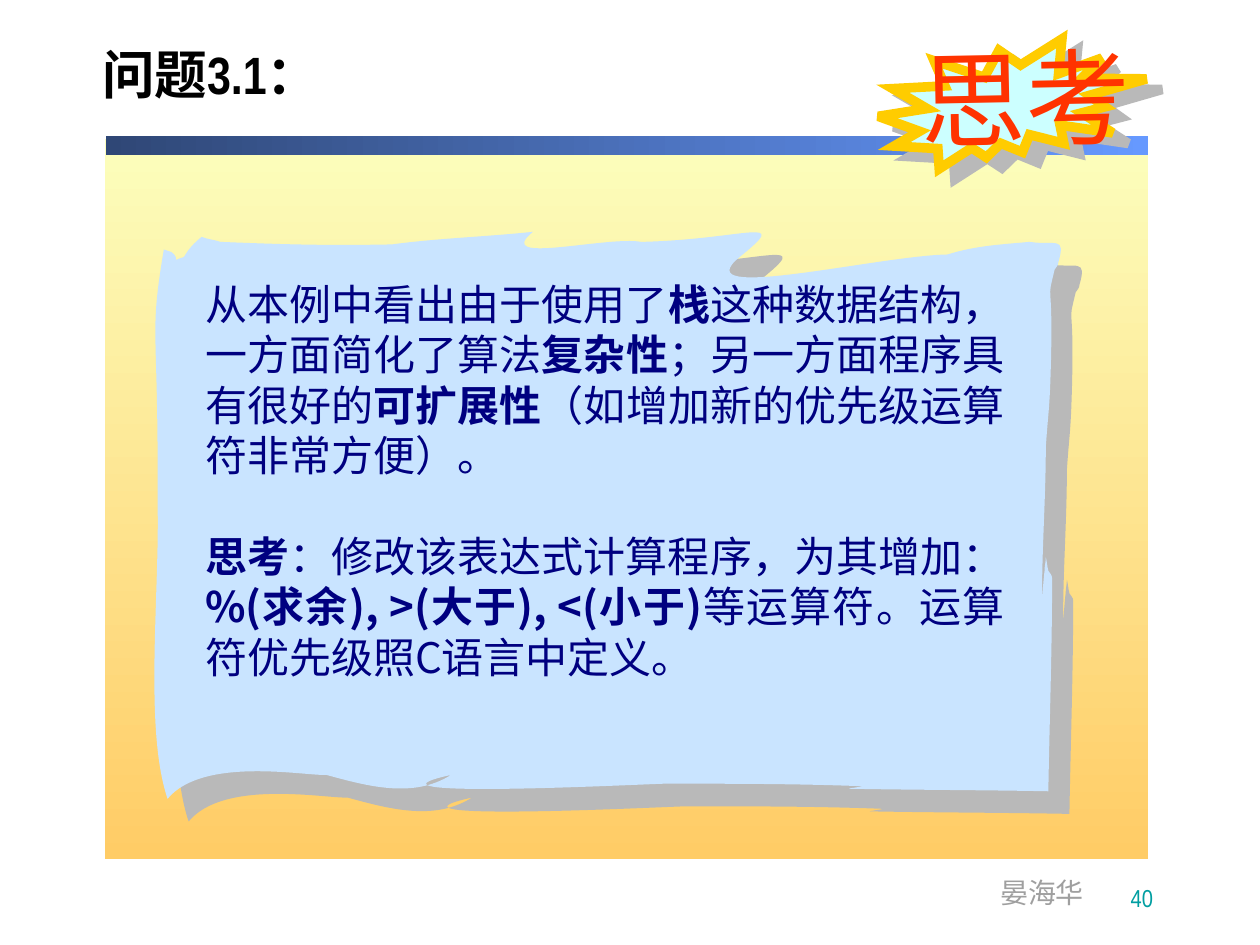
from lxml import etree
from pptx import Presentation
from pptx.dml.color import RGBColor
from pptx.enum.shapes import MSO_SHAPE as Shape
from pptx.enum.text import MSO_ANCHOR as Anchor, PP_ALIGN as Align
from pptx.oxml import parse_xml
from pptx.oxml.ns import nsdecls, qn
from pptx.util import Inches, Pt

COLORS = {
    "panel_top": "FCFEBC", "panel_bottom": "FFCC66",
    "bar_left": "2F4776", "bar_right": "6699FF",
    "paper": "C9E4FF", "shadow": "B9B9B9", "body": "000080",
    "seal": "CCFFFF", "seal_line": "FFCC00", "think": "FF3300",
    "title": "000000", "author": "9F9F9F", "number": "009EA1",
}
NARROW = "Arial Narrow"
SANS_SC = "Noto Sans CJK SC"
SANS_JP = "Noto Sans CJK JP"

PAPER_START = (1.75, 1.92)
PAPER_CURVES = [
    (2.25, 1.94, 2.59, 1.95, 3.11, 1.94), (3.48, 1.89, 3.85, 1.88, 4.23, 1.84),
    (3.9, 2.11, 4.82, 1.87, 5.09, 1.92), (5.92, 1.9, 6.29, 1.7, 5.87, 2.04),
    (5.42, 2.41, 6.97, 2.03, 7.52, 2.02), (7.74, 1.95, 7.95, 1.94, 8.17, 1.92),
    (8.38, 1.95, 8.46, 1.87, 8.4, 2.08), (8.4, 2.11, 8.38, 2.12, 8.37, 2.14),
    (8.3, 2.43, 8.36, 2.16, 8.34, 2.9), (8.33, 3.27, 8.32, 3.25, 8.3, 3.55),
    (8.3, 3.94, 8.27, 4.34, 8.27, 4.73), (8.27, 4.8, 8.28, 4.6, 8.29, 4.53),
    (8.29, 4.49, 8.3, 4.46, 8.3, 4.42), (8.31, 4.46, 8.31, 4.49, 8.32, 4.53),
    (8.33, 4.55, 8.35, 4.56, 8.35, 4.59), (8.35, 5.15, 8.33, 5.71, 8.32, 6.28),
    (7.79, 6.27, 7.27, 6.27, 6.74, 6.26), (6.71, 6.26, 6.87, 6.24, 6.84, 6.24),
    (6.32, 6.22, 5.8, 6.22, 5.28, 6.22), (5.17, 6.22, 2.67, 6.35, 3.58, 6.15),
    (3.28, 6.34, 2.92, 6.24, 2.59, 6.15), (2.43, 6.16, 1.61, 6, 1.33, 6.34),
    (1.14, 5.78, 1.27, 4.69, 1.25, 3.98), (1.26, 2.54, 1.18, 2.7, 1.3, 1.98),
    (1.32, 1.99, 1.34, 1.99, 1.36, 2), (1.45, 2.07, 1.33, 2.08, 1.46, 2.04),
    (1.5, 1.97, 1.54, 1.93, 1.6, 1.88), (1.65, 1.9, 1.69, 1.9, 1.75, 1.92),
    (1.75, 1.92, 1.88, 1.97, 1.75, 1.92),
]
BODY = [
    [("从本例中看出由于使用了", False), ("栈", True),
     ("这种数据结构，一方面简化了算法", False), ("复杂性", True),
     ("；另一方面程序具有很好的", False), ("可扩展性", True),
     ("（如增加新的优先级运算符非常方便）。", False)],
    [("思考", True), ("：修改该表达式计算程序，为其增加：", False),
     ("%(求余), >(大于), <(小于)", True),
     ("等运算符。运算符优先级照C语言中定义。", False)],
]


def color(name):
    return RGBColor.from_string(COLORS[name])


class SlideBuilder:
    def __init__(self, slide):
        self.slide = slide
        self.shapes = slide.shapes

    def format_run(self, run, size, fill, font, bold=False):
        run.font.size = Pt(size)
        run.font.name = font
        run.font.bold = bold
        run.font.color.rgb = color(fill)
        east_asian = etree.Element(qn("a:ea"))
        east_asian.set("typeface", SANS_SC if font == NARROW else font)
        run.font._element.find(qn("a:latin")).addnext(east_asian)

    def title(self, text, box):
        title = self.shapes.title
        title.left, title.top, title.width, title.height = map(Inches, box)
        frame = title.text_frame
        frame.text = text
        frame.vertical_anchor = Anchor.MIDDLE
        paragraph = frame.paragraphs[0]
        paragraph.alignment = Align.LEFT
        paragraph.line_spacing = 0.8
        self.format_run(paragraph.runs[0], 30, "title", NARROW, True)

    def gradient(self, box, stops, angle):
        shape = self.shapes.add_shape(Shape.RECTANGLE, *map(Inches, box))
        shape.shadow.inherit = False
        shape.line.fill.background()
        shape.fill.gradient()
        shape.fill.gradient_angle = angle
        for stop, name in zip(shape.fill.gradient_stops, stops):
            stop.color.rgb = color(name)

    def cast_shadow(self, shape, distance, angle):
        shape.shadow.inherit = False
        effects = shape._element.spPr.find(qn("a:effectLst"))
        effects.append(parse_xml(
            f'<a:outerShdw {nsdecls("a")} blurRad="0" dist="{Pt(distance)}" '
            f'dir="{angle * 60000}" algn="ctr" rotWithShape="0">'
            f'<a:srgbClr val="{COLORS["shadow"]}"/></a:outerShdw>'))

    def curved_freeform(self, start, curves):
        points = [(Inches(curve[i]), Inches(curve[i + 1]))
                  for curve in curves for i in (0, 2, 4)]
        builder = self.shapes.build_freeform(*map(Inches, start))
        builder.add_line_segments(points, close=True)
        shape = builder.convert_to_shape()
        lines = list(shape._element.iter(qn("a:lnTo")))
        for i in range(0, len(lines), 3):
            bezier = etree.Element(qn("a:cubicBezTo"))
            lines[i].addprevious(bezier)
            for line in lines[i:i + 3]:
                bezier.append(line[0])
                line.getparent().remove(line)
        return shape

    def paper(self):
        shape = self.curved_freeform(PAPER_START, PAPER_CURVES)
        shape.fill.solid()
        shape.fill.fore_color.rgb = color("paper")
        shape.line.fill.background()
        self.cast_shadow(shape, 17.7, 47)

    def seal(self, box):
        shape = self.shapes.add_shape(Shape.EXPLOSION2, *map(Inches, box))
        shape.fill.solid()
        shape.fill.fore_color.rgb = color("seal")
        shape.line.color.rgb = color("seal_line")
        shape.line.width = Pt(5.5)
        miter = etree.SubElement(shape._element.spPr.find(qn("a:ln")), qn("a:miter"))
        miter.set("lim", "800000")
        self.cast_shadow(shape, 10.8, 34)

    def text(self, box, paragraphs, size, fill, font, align=Align.LEFT,
             anchor=Anchor.TOP, wrap=True, gap=0, rotation=0):
        shape = self.shapes.add_textbox(*map(Inches, box))
        shape.rotation = rotation
        frame = shape.text_frame
        frame.word_wrap = wrap
        frame.vertical_anchor = anchor
        for index, pieces in enumerate(paragraphs):
            paragraph = frame.add_paragraph() if index else frame.paragraphs[0]
            paragraph.alignment = align
            if index:
                paragraph.space_before = Pt(gap)
            for text, bold in pieces:
                run = paragraph.add_run()
                run.text = text
                self.format_run(run, size, fill, font, bold)


def main():
    presentation = Presentation()
    presentation.slide_width = Inches(10)
    presentation.slide_height = Inches(7.5)
    builder = SlideBuilder(presentation.slides.add_slide(presentation.slide_layouts[5]))
    builder.gradient((0.83, 1.1, 8.28, 5.72), ("panel_top", "panel_bottom"), 270)
    builder.gradient((0.84, 1.08, 8.27, 0.15), ("bar_left", "bar_right"), 0)
    builder.text((7.84, 6.9, 0.87, 0.37), [[("晏海华", False)]], 16, "author", NARROW,
                 wrap=False)
    builder.title("问题3.1：", (0.71, 0.17, 8.96, 0.92))
    builder.text((7.36, 6.81, 1.89, 0.48), [[("40", False)]], 14, "number", NARROW,
                 align=Align.RIGHT, anchor=Anchor.BOTTOM)
    builder.paper()
    builder.text((1.53, 2.16, 6.54, 3.74), BODY, 24, "body", SANS_SC,
                 align=Align.JUSTIFY, gap=28.8)
    builder.seal((6.97, 0.31, 2.13, 1.03))
    builder.text((7.21, 0.21, 2.44, 1.1), [[("思考", False)]], 60, "think", SANS_JP,
                 rotation=358.9)
    presentation.save("out.pptx")


if __name__ == "__main__":
    main()
